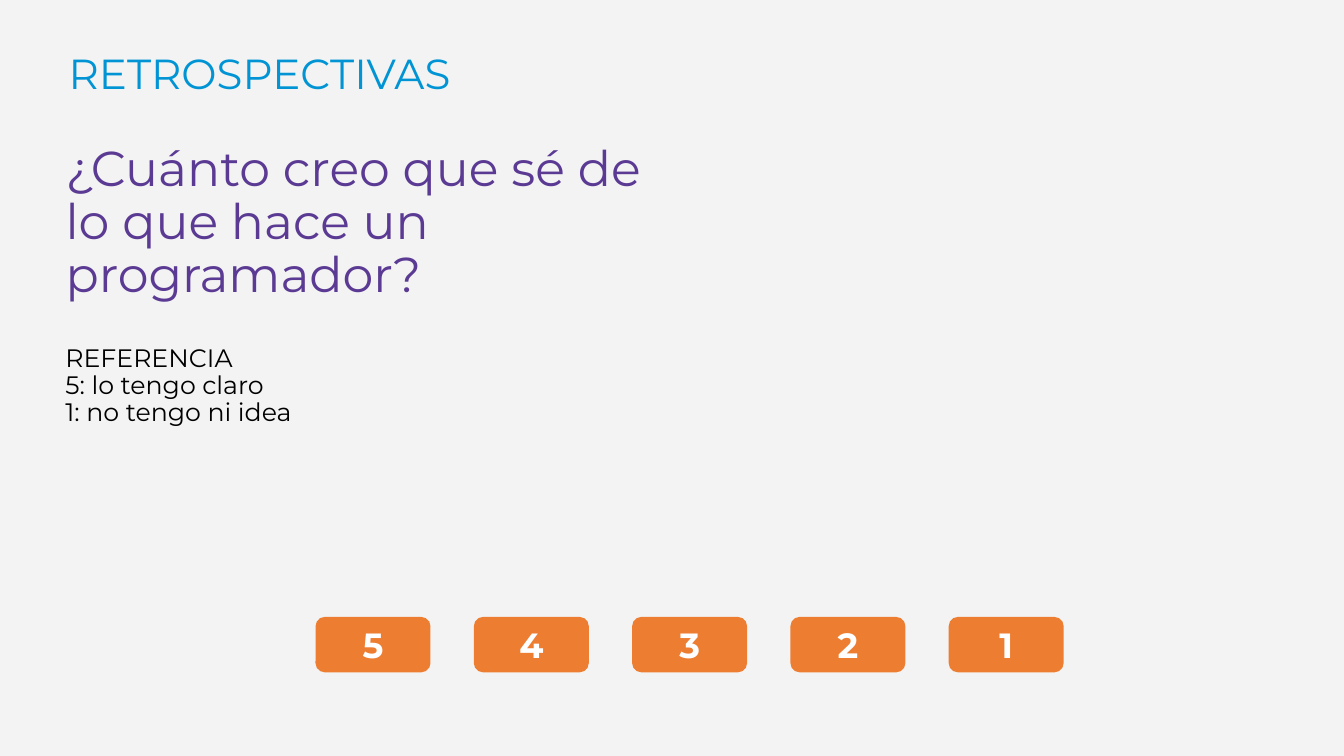
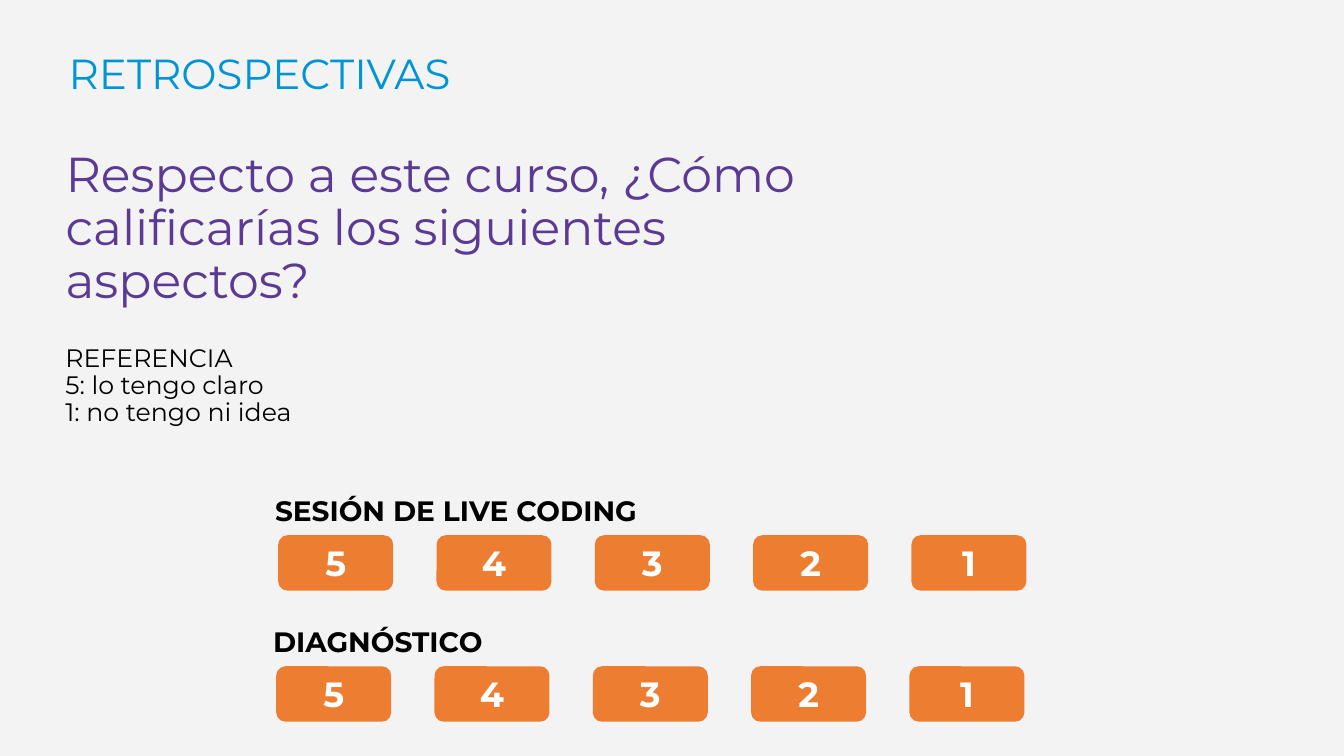
from dataclasses import dataclass

from pptx import Presentation
from pptx.dml.color import RGBColor
from pptx.enum.shapes import MSO_SHAPE
from pptx.enum.text import MSO_ANCHOR as Anchor, MSO_AUTO_SIZE as AutoSize, PP_ALIGN as Align
from pptx.presentation import Presentation as Deck
from pptx.shapes.base import BaseShape
from pptx.slide import Slide
from pptx.util import Inches, Pt

FONT = "Montserrat"
BACKGROUND = RGBColor(0xF3, 0xF3, 0xF3)
BLUE = RGBColor(0x00, 0x94, 0xD4)
PURPLE = RGBColor(0x5B, 0x3A, 0x93)
ORANGE = RGBColor(0xED, 0x7D, 0x31)
BLACK = RGBColor(0x00, 0x00, 0x00)
WHITE = RGBColor(0xFF, 0xFF, 0xFF)

SECTION = "RETROSPECTIVAS"
REFERENCE = ["REFERENCIA", "5: lo tengo claro", "1: no tengo ni idea"]
SCORES = range(5, 0, -1)
BUTTON_WIDTH, BUTTON_HEIGHT, BUTTON_PITCH = 1.14, 0.55, 1.57


@dataclass(frozen=True)
class Box:
    left: float
    top: float
    width: float
    height: float

    def lengths(self) -> tuple[Inches, ...]:
        return tuple(map(Inches, (self.left, self.top, self.width, self.height)))


@dataclass(frozen=True)
class TextStyle:
    size: int
    color: RGBColor
    bold: bool = False
    align: Align = Align.LEFT
    anchor: Anchor = Anchor.TOP
    line_spacing: float = 1.0
    margin_top: float = 0.1
    margin_bottom: float = 0.1


@dataclass(frozen=True)
class Rating:
    left: float
    top: float
    label: str = ""


@dataclass(frozen=True)
class Survey:
    question: str
    question_box: Box
    ratings: tuple[Rating, ...]


TITLE_STYLE = TextStyle(30, BLUE, margin_bottom=0)
QUESTION_STYLE = TextStyle(35, PURPLE, line_spacing=0.9, margin_top=0.05, margin_bottom=0.05)
REFERENCE_STYLE = TextStyle(18, BLACK, line_spacing=0.9)
LABEL_STYLE = TextStyle(20, BLACK, bold=True, margin_top=0.05, margin_bottom=0.05)
SCORE_STYLE = TextStyle(25, WHITE, bold=True, align=Align.CENTER, anchor=Anchor.MIDDLE)

TITLE_BOX = Box(0.58, 0.37, 4.38, 0.81)
REFERENCE_BOX = Box(0.55, 3.33, 3.58, 1.18)

SURVEYS = (
    Survey(
        "¿Cuánto creo que sé de lo que hace un programador?",
        Box(0.55, 1.38, 5.95, 1.64),
        (Rating(3.13, 6.12),),
    ),
    Survey(
        "Respecto a este curso, ¿Cómo calificarías los siguientes aspectos?",
        Box(0.55, 1.44, 7.75, 1.64),
        (Rating(2.76, 5.31, "SESIÓN DE LIVE CODING"), Rating(2.74, 6.61, "DIAGNÓSTICO")),
    ),
)


def write(shape: BaseShape, lines: list[str], style: TextStyle) -> None:
    frame = shape.text_frame
    frame.text = "\n".join(lines)
    frame.word_wrap = True
    frame.auto_size = AutoSize.NONE
    frame.vertical_anchor = style.anchor
    frame.margin_left = frame.margin_right = Inches(0.1)
    frame.margin_top = Inches(style.margin_top)
    frame.margin_bottom = Inches(style.margin_bottom)
    for paragraph in frame.paragraphs:
        paragraph.alignment = style.align
        paragraph.line_spacing = style.line_spacing
        paragraph.space_before = Pt(0)
        font = paragraph.font
        font.name, font.size, font.bold = FONT, Pt(style.size), style.bold
        font.color.rgb = style.color


def fill_placeholder(holder: BaseShape, box: Box, text: str, style: TextStyle) -> None:
    holder.left, holder.top, holder.width, holder.height = box.lengths()
    write(holder, [text], style)


def add_text(slide: Slide, box: Box, lines: list[str], style: TextStyle) -> None:
    write(slide.shapes.add_textbox(*box.lengths()), lines, style)


def add_rating(slide: Slide, rating: Rating) -> None:
    # Optional label above the row
    if rating.label:
        label_box = Box(rating.left - 0.13, rating.top - 0.46, 8.37, 0.64)
        add_text(slide, label_box, [rating.label], LABEL_STYLE)

    # One button per score
    for column, score in enumerate(SCORES):
        box = Box(rating.left + column * BUTTON_PITCH, rating.top, BUTTON_WIDTH, BUTTON_HEIGHT)
        button = slide.shapes.add_shape(MSO_SHAPE.ROUNDED_RECTANGLE, *box.lengths())
        button.shadow.inherit = False
        button.fill.solid()
        button.fill.fore_color.rgb = ORANGE
        button.line.fill.background()
        write(button, [str(score)], SCORE_STYLE)


def add_survey(deck: Deck, survey: Survey) -> None:
    slide = deck.slides.add_slide(deck.slide_layouts[0])
    fill_placeholder(slide.shapes.title, TITLE_BOX, SECTION, TITLE_STYLE)
    fill_placeholder(slide.placeholders[1], survey.question_box, survey.question, QUESTION_STYLE)
    add_text(slide, REFERENCE_BOX, REFERENCE, REFERENCE_STYLE)
    for rating in survey.ratings:
        add_rating(slide, rating)


def main() -> None:
    deck = Presentation()
    deck.slide_width, deck.slide_height = Inches(13.33), Inches(7.5)

    # Background shared by every slide
    background = deck.slide_master.background.fill
    background.solid()
    background.fore_color.rgb = BACKGROUND

    for survey in SURVEYS:
        add_survey(deck, survey)
    deck.save("out.pptx")


if __name__ == "__main__":
    main()
